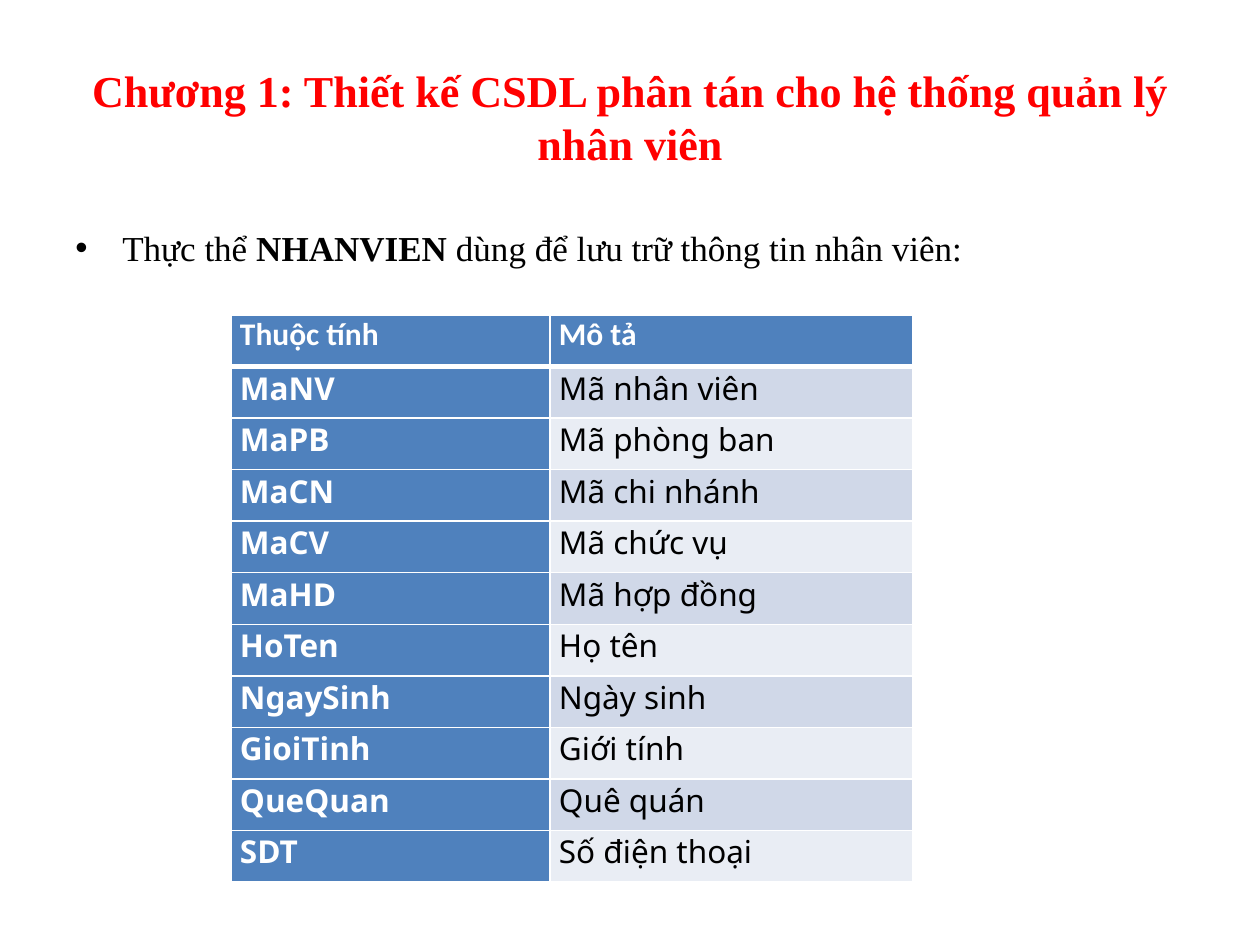
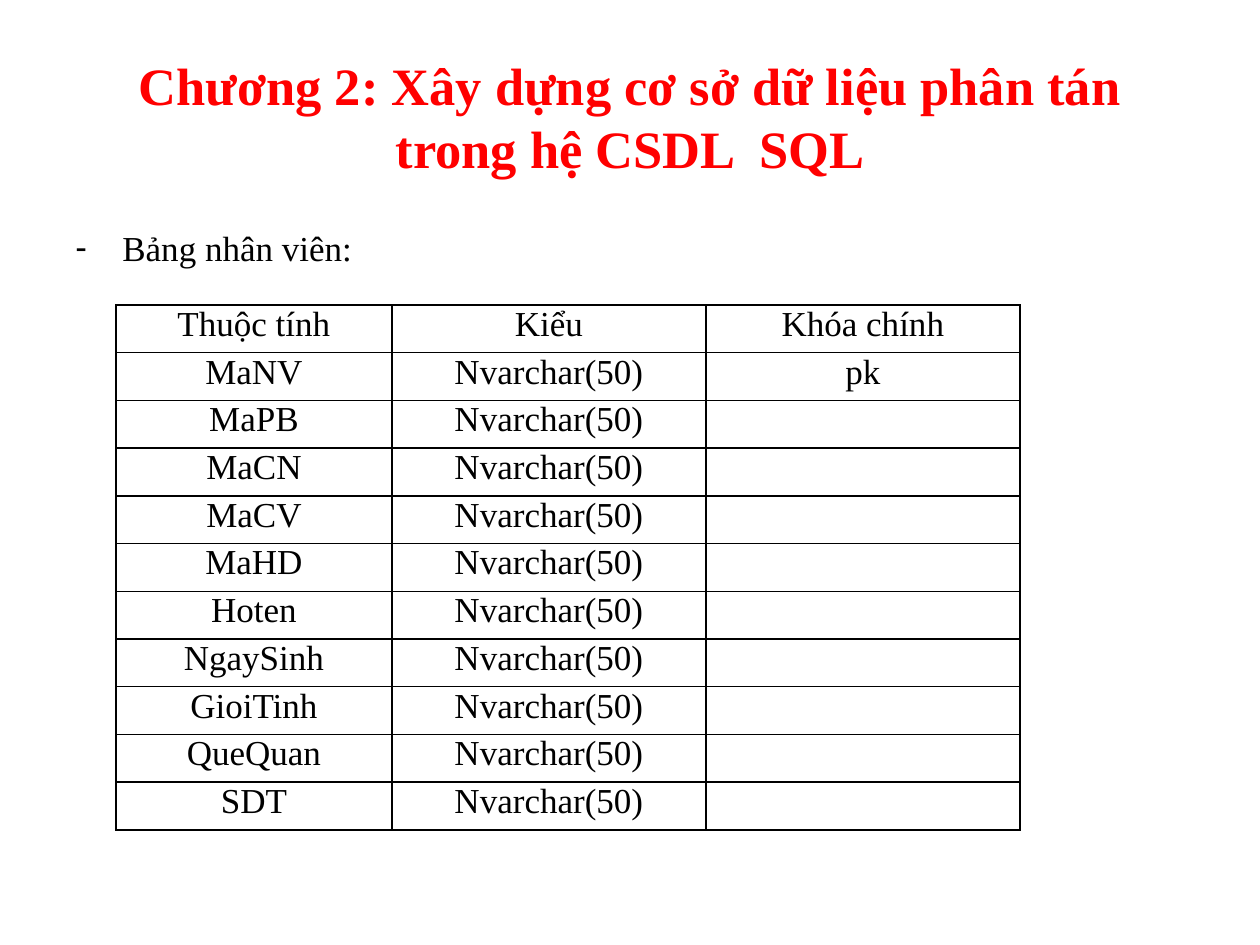
from dataclasses import dataclass

from lxml import etree
from pptx import Presentation
from pptx import util as u
from pptx.dml.color import RGBColor
from pptx.enum import text
from pptx.oxml.ns import qn

# Shared scale, colours and fonts
PX = u.Inches(1) / 126
COLORS = {"title": "FF0000", "ink": "000000", "paper": "FFFFFF",
          "head": "4F81BD", "band": "D0D8E8", "light": "E9EDF4"}
SERIF, SANS, WIDE = "Times New Roman", "Calibri", "Noto Sans"
CENTER, LEFT = text.PP_ALIGN.CENTER, text.PP_ALIGN.LEFT
TITLE_BOX = (63, 38, 1134, 157)
BODY_BOX = (63, 220, 1134, 60)
BULLET_INDENT = 47
CELL_INSET = 9


@dataclass
class CellStyle:
    font: str
    size: float
    color: str
    bold: bool = False
    align: text.PP_ALIGN = LEFT
    fill: str | None = None
    border: str = "ink"
    top: float = 1
    bottom: float = 1


@dataclass
class Grid:
    left: int
    top: int
    height: int
    columns: list[int]
    rows: list[tuple[str, ...]]


def px(n: float) -> u.Emu:
    return u.Emu(round(n * PX))


def place(shape, box: tuple[int, ...]) -> None:
    for name, value in zip(("left", "top", "width", "height"), box):
        setattr(shape, name, px(value))


def add_run(p, words: str, font: str, size: float, color: str, bold: bool = False) -> None:
    r = p.add_run()
    r.text = words
    for name, value in {"name": font, "size": u.Pt(size), "bold": bold}.items():
        setattr(r.font, name, value)
    r.font.color.rgb = RGBColor.from_string(COLORS[color])


def add_title_slide(prs, title: str, size: float):
    s = prs.slides.add_slide(prs.slide_layouts[5])
    place(s.shapes.title, TITLE_BOX)
    tf = s.shapes.title.text_frame
    settings = {"word_wrap": True, "auto_size": text.MSO_AUTO_SIZE.NONE,
                "vertical_anchor": text.MSO_ANCHOR.MIDDLE}
    for name, value in settings.items():
        setattr(tf, name, value)
    p = tf.paragraphs[0]
    p.alignment = CENTER
    add_run(p, title, SERIF, size, "title", True)
    return s


def add_bullet(s, mark: str, runs: list[tuple[str, bool]]) -> None:
    tf = s.shapes.add_textbox(*map(px, BODY_BOX)).text_frame
    tf.word_wrap = True
    p = tf.paragraphs[0]
    for words, bold in runs:
        add_run(p, words, SERIF, 20, "ink", bold)
    pPr = p._p.get_or_add_pPr()
    pPr.set("marL", str(px(BULLET_INDENT)))
    pPr.set("indent", str(-px(BULLET_INDENT)))
    etree.SubElement(pPr, qn("a:buFont"), typeface="Arial")
    etree.SubElement(pPr, qn("a:buChar"), char=mark)


def set_borders(cell, style: CellStyle) -> None:
    tcPr = cell._tc.get_or_add_tcPr()
    widths = {"lnL": 1, "lnR": 1, "lnT": style.top, "lnB": style.bottom}
    for i, (side, width) in enumerate(widths.items()):
        ln = etree.Element(qn("a:" + side), w=str(u.Pt(width)))
        fill = etree.SubElement(ln, qn("a:solidFill"))
        etree.SubElement(fill, qn("a:srgbClr"), val=COLORS[style.border])
        tcPr.insert(i, ln)


def fill_cell(cell, words: str, style: CellStyle) -> None:
    margins = {"margin_left": px(CELL_INSET), "margin_right": px(CELL_INSET),
               "margin_top": 0, "margin_bottom": 0}
    for name, value in margins.items():
        setattr(cell, name, value)
    if style.fill:
        cell.fill.solid()
        cell.fill.fore_color.rgb = RGBColor.from_string(COLORS[style.fill])
    else:
        cell.fill.background()
    set_borders(cell, style)
    p = cell.text_frame.paragraphs[0]
    p.alignment = style.align
    if words:
        add_run(p, words, style.font, style.size, style.color, style.bold)


def add_grid(s, grid: Grid, style_of) -> None:
    box = (grid.left, grid.top, sum(grid.columns), grid.height)
    table = s.shapes.add_table(len(grid.rows), len(grid.columns), *map(px, box)).table
    table.first_row = table.horz_banding = False
    for column, width in zip(table.columns, grid.columns):
        column.width = px(width)
    for row in table.rows:
        row.height = px(grid.height / len(grid.rows))
    for i, row in enumerate(grid.rows):
        for j, words in enumerate(row):
            fill_cell(table.cell(i, j), words, style_of(i, j))


def banded_style(row: int, column: int) -> CellStyle:
    if row == 0:
        return CellStyle(SANS, 18, "paper", True, fill="head", border="paper", bottom=3)
    top = 3 if row == 1 else 1
    if column == 0:
        return CellStyle(WIDE, 18, "paper", True, fill="head", border="paper", top=top)
    band = "band" if row % 2 else "light"
    return CellStyle(WIDE, 18, "ink", fill=band, border="paper", top=top)


def plain_style(row: int, column: int) -> CellStyle:
    return CellStyle(SERIF, 20, "ink", align=CENTER)


prs = Presentation()
prs.slide_width, prs.slide_height = px(1260), px(945)

# Slide 1: attributes of the employee entity
ATTRIBUTES = [
    ("Thuộc tính", "Mô tả"),
    ("MaNV", "Mã nhân viên"),
    ("MaPB", "Mã phòng ban"),
    ("MaCN", "Mã chi nhánh"),
    ("MaCV", "Mã chức vụ"),
    ("MaHD", "Mã hợp đồng"),
    ("HoTen", "Họ tên"),
    ("NgaySinh", "Ngày sinh"),
    ("GioiTinh", "Giới tính"),
    ("QueQuan", "Quê quán"),
    ("SDT", "Số điện thoại"),
]
s = add_title_slide(prs, "Chương 1: Thiết kế CSDL phân tán cho hệ thống quản lý nhân viên", 25.2)
add_bullet(s, "•", [("Thực thể ", False), ("NHANVIEN ", True),
                    ("dùng để lưu trữ thông tin nhân viên:", False)])
add_grid(s, Grid(231, 315, 567, [319, 363], ATTRIBUTES), banded_style)

# Slide 2: column types of the employee table
FIELDS = ["MaNV", "MaPB", "MaCN", "MaCV", "MaHD", "Hoten",
          "NgaySinh", "GioiTinh", "QueQuan", "SDT"]
TYPES = [("Thuộc tính", "Kiểu", "Khóa chính")]
TYPES += [(field, "Nvarchar(50)", "pk" if field == "MaNV" else "") for field in FIELDS]
s = add_title_slide(prs, "Chương 2: Xây dựng cơ sở dữ liệu phân tán trong hệ CSDL  SQL", 30)
add_bullet(s, "-", [("Bảng nhân viên:", False)])
add_grid(s, Grid(116, 305, 525, [276, 314, 314], TYPES), plain_style)

prs.save("out.pptx")
